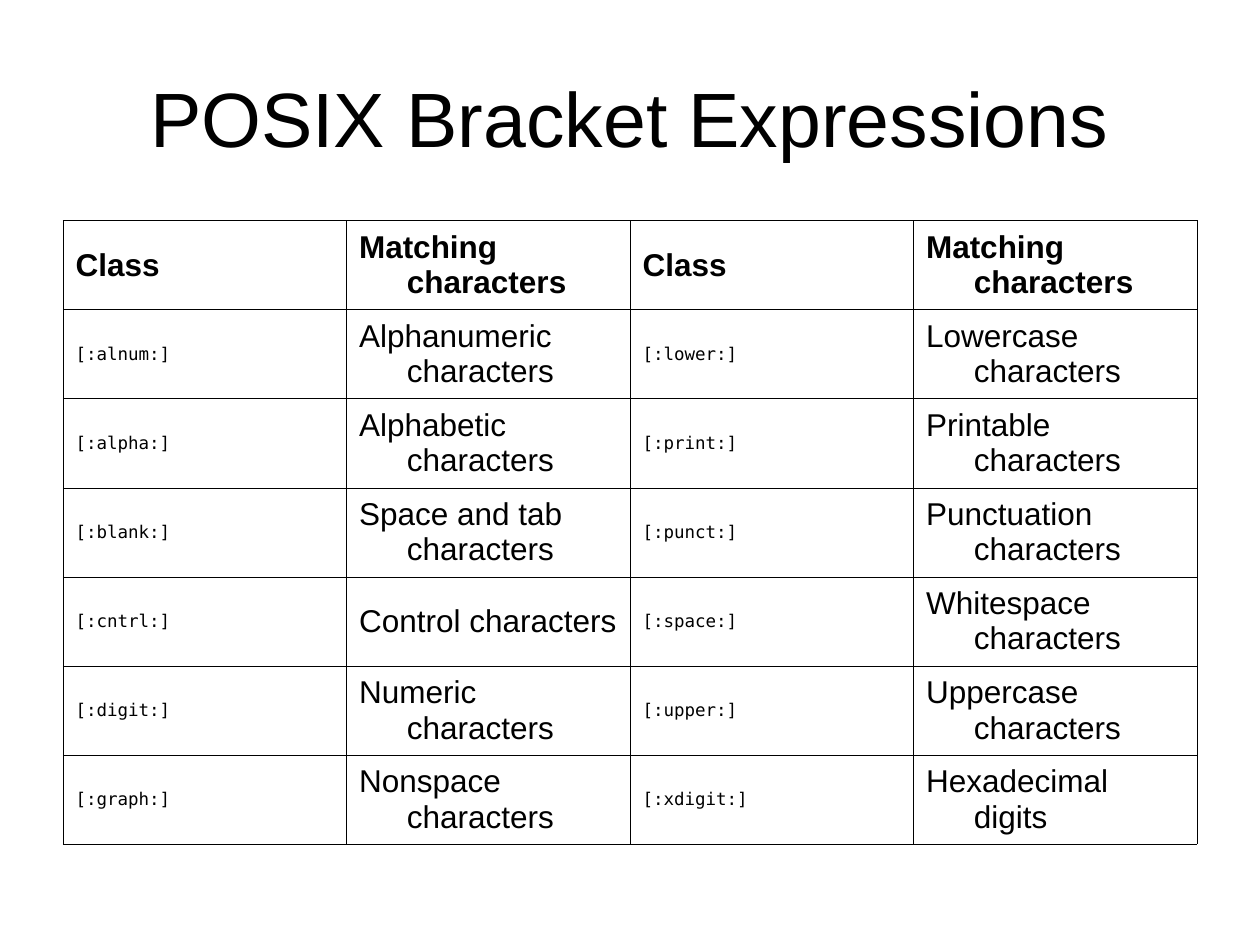
from dataclasses import dataclass

from lxml.etree import SubElement
from pptx import Presentation
from pptx.dml.color import RGBColor
from pptx.enum.text import MSO_ANCHOR as Anchor, PP_ALIGN as Align
from pptx.oxml.ns import qn
from pptx.util import Inches, Pt


@dataclass(frozen=True)
class Theme:
    """Colours, fonts and sizes of the slide."""
    ink: str = "000000"
    paper: str = "FFFFFF"
    sans: str = "Arial"
    mono: str = "DejaVu Sans Mono"
    title_size: int = 44
    body_size: int = 18
    code_size: int = 10
    rule: float = 0.34
    hanging: float = 0.38


class SlideBuilder:
    """Adds styled elements to a slide, placed by shares of its size."""

    def __init__(self, deck, theme):
        self.deck, self.theme = deck, theme
        self.slide = deck.slides.add_slide(deck.slide_layouts[6])

    def area(self, left, top, width, height):
        """Turn shares of the slide into lengths."""
        across, down = self.deck.slide_width, self.deck.slide_height
        return [round(share * side) for share, side in
                zip((left, top, width, height), (across, down) * 2)]

    def add_text(self, paragraph, wording, size, font, bold=False):
        """Add one styled run."""
        run = paragraph.add_run()
        run.text = wording
        run.font.size, run.font.name, run.font.bold = Pt(size), font, bold
        run.font.color.rgb = RGBColor.from_string(self.theme.ink)

    def title(self, wording, *shares):
        """Add a centred heading."""
        frame = self.slide.shapes.add_textbox(*self.area(*shares)).text_frame
        frame.word_wrap = True
        frame.vertical_anchor = Anchor.MIDDLE
        heading = frame.paragraphs[0]
        heading.alignment = Align.CENTER
        self.add_text(heading, wording, self.theme.title_size, self.theme.sans)

    def border(self, cell):
        """Rule all four sides of a cell."""
        properties = cell._tc.get_or_add_tcPr()
        for side in ("a:lnL", "a:lnR", "a:lnT", "a:lnB"):
            line = SubElement(properties, qn(side), w=str(Pt(self.theme.rule)))
            fill = SubElement(line, qn("a:solidFill"))
            SubElement(fill, qn("a:srgbClr"), val=self.theme.ink)

    def cell(self, cell, wording, is_header):
        """Fill one cell, with class names in the code font."""
        theme = self.theme
        self.border(cell)
        cell.fill.solid()
        cell.fill.fore_color.rgb = RGBColor.from_string(theme.paper)
        cell.vertical_anchor = Anchor.MIDDLE
        entry = cell.text_frame.paragraphs[0]
        indent = Inches(theme.hanging)
        layout = entry._p.get_or_add_pPr()
        layout.set("marL", str(indent))
        layout.set("indent", str(-indent))
        is_code = wording.startswith("[:")
        self.add_text(entry, wording,
                      theme.code_size if is_code else theme.body_size,
                      theme.mono if is_code else theme.sans, is_header)

    def table(self, rows, *shares):
        """Add a ruled table with equal columns and rows."""
        left, top, width, height = self.area(*shares)
        table = self.slide.shapes.add_table(
            len(rows), len(rows[0]), left, top, width, height).table
        table.first_row = table.horz_banding = False
        for column in table.columns:
            column.width = width // len(rows[0])
        for index, row in enumerate(rows):
            table.rows[index].height = height // len(rows)
            for position, wording in enumerate(row):
                self.cell(table.cell(index, position), wording, index == 0)


BRACKET_CLASSES = [
    ("Class", "Matching characters") * 2,
    ("[:alnum:]", "Alphanumeric characters", "[:lower:]", "Lowercase characters"),
    ("[:alpha:]", "Alphabetic characters", "[:print:]", "Printable characters"),
    ("[:blank:]", "Space and tab characters", "[:punct:]", "Punctuation characters"),
    ("[:cntrl:]", "Control characters", "[:space:]", "Whitespace characters"),
    ("[:digit:]", "Numeric characters", "[:upper:]", "Uppercase characters"),
    ("[:graph:]", "Nonspace characters", "[:xdigit:]", "Hexadecimal digits"),
]


def main():
    """Build and save the slide."""
    deck = Presentation()
    deck.slide_width, deck.slide_height = Inches(10), Inches(7.5)
    builder = SlideBuilder(deck, Theme())
    builder.title("POSIX Bracket Expressions", 0.05, 0.04, 0.9, 1 / 6)
    builder.table(BRACKET_CLASSES, 0.05, 7 / 30, 0.9, 0.66)
    deck.save("out.pptx")


if __name__ == "__main__":
    main()
